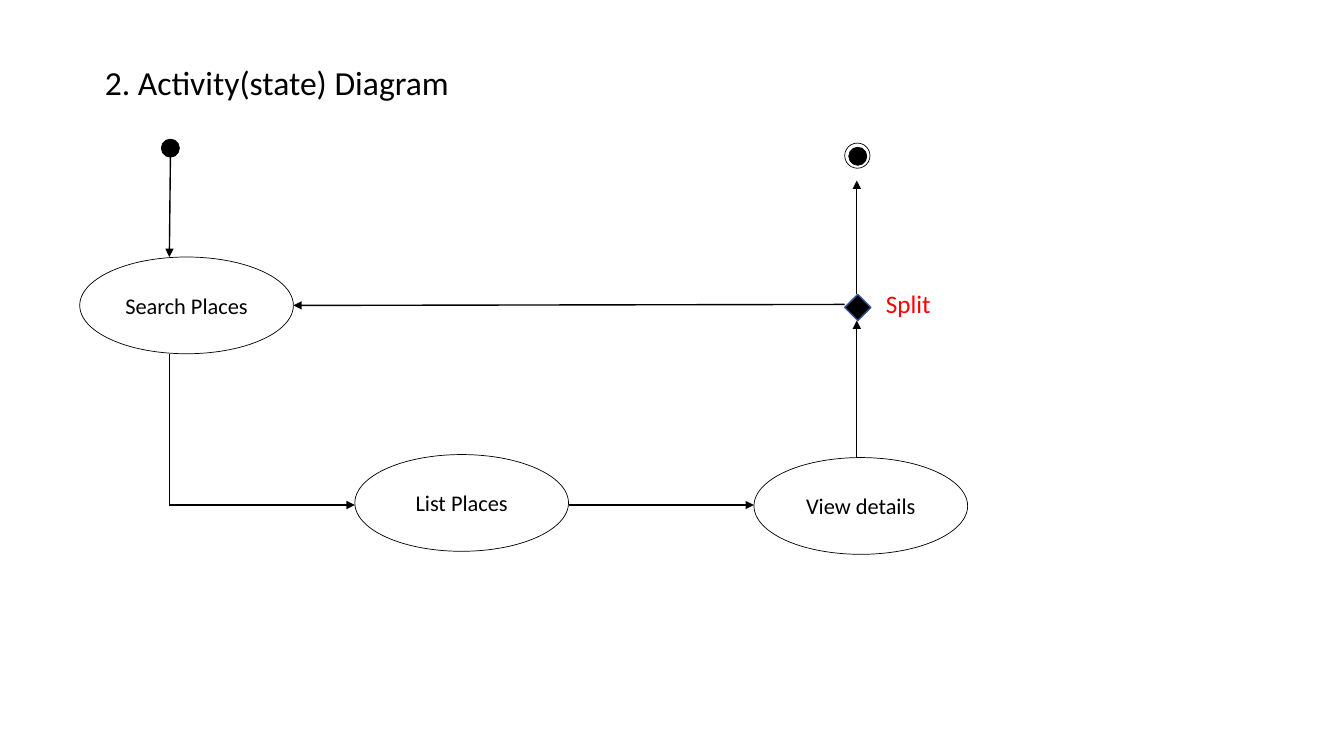
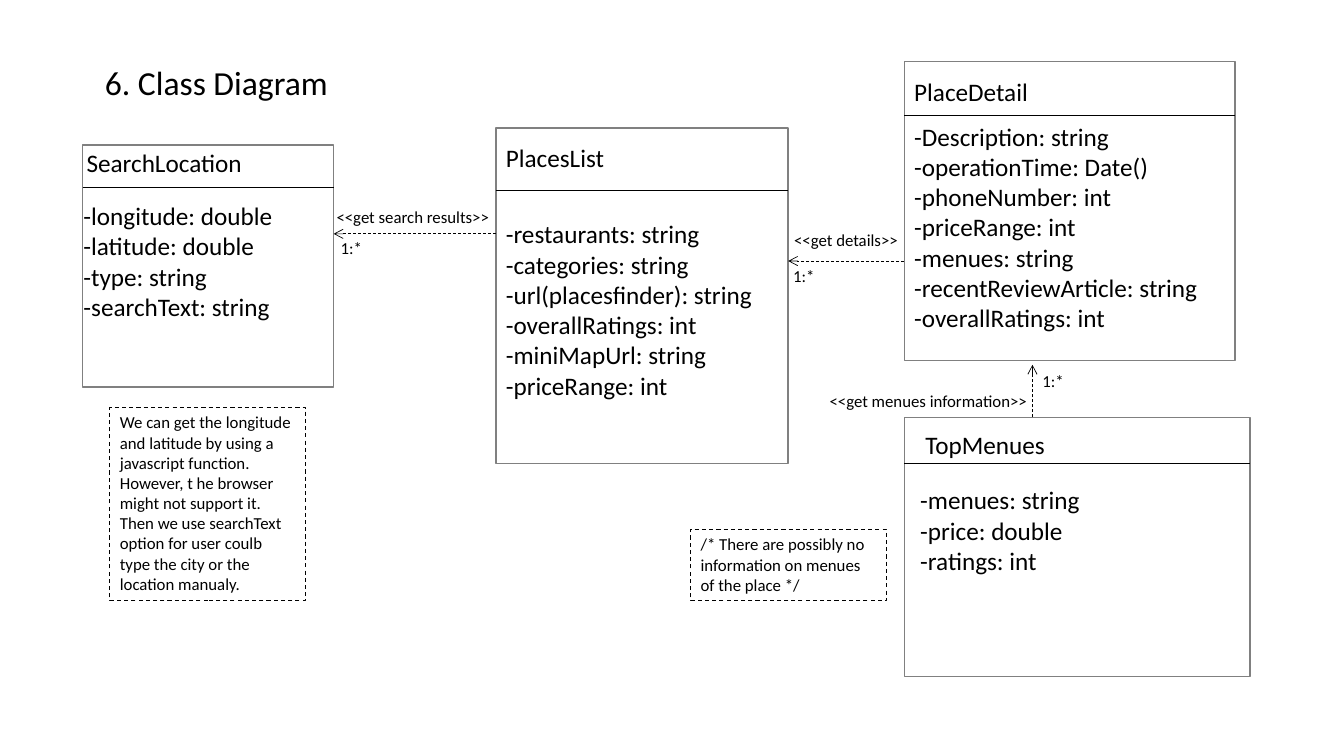
from collections import namedtuple
from pptx import Presentation
from pptx import util as u
from pptx.dml.color import RGBColor
from pptx.enum import dml, shapes, text
from pptx.oxml.ns import qn
from lxml import etree

BLACK = RGBColor(0, 0, 0)
GRAY = RGBColor(0x80, 0x80, 0x80)
RED = RGBColor(0xFF, 0, 0)
NAVY = RGBColor(0x32, 0x54, 0x91)
FONT = "Calibri"

prs = Presentation()
prs.slide_width, prs.slide_height = u.Inches(13.33), u.Inches(7.5)
COL, ROW = prs.slide_width / 100, prs.slide_height / 100
Box = namedtuple("Box", "x y w h")
SLIDE = Box(0, 0, 100, 100)


def col(n):
    return u.Emu(round(n * COL))


def row(n):
    return u.Emu(round(n * ROW))


def place(box):
    return col(box.x), row(box.y), col(box.w), row(box.h)


def inside(area, x, y, w, h):
    return Box(area.x + x * area.w / 100, area.y + y * area.h / 100,
               w * area.w / 100, h * area.h / 100)


def write(tf, lines, size, color=BLACK, align=text.PP_ALIGN.LEFT, wrap=False):
    tf.word_wrap = wrap
    tf.auto_size = text.MSO_AUTO_SIZE.NONE
    for i, line in enumerate(lines):
        p = tf.paragraphs[0] if i == 0 else tf.add_paragraph()
        p.alignment = align
        r = p.add_run()
        r.text = line
        r.font.name, r.font.size = FONT, u.Pt(size)
        r.font.color.rgb = color


def label(s, box, lines, size, color=BLACK):
    write(s.shapes.add_textbox(*place(box)).text_frame, lines, size, color)


def outline(s, kind, box, width, color=BLACK, fill=None, dashed=False):
    sp = s.shapes.add_shape(kind, *place(box))
    sp.shadow.inherit = False
    if fill is None:
        sp.fill.background()
    else:
        sp.fill.solid()
        sp.fill.fore_color.rgb = fill
    sp.line.color.rgb, sp.line.width = color, u.Pt(width)
    if dashed:
        sp.line.dash_style = dml.MSO_LINE.DASH
    return sp


def connect(s, start, end, width, tip=None, dashed=False):
    c = s.shapes.add_connector(shapes.MSO_CONNECTOR.STRAIGHT, col(start[0]), row(start[1]),
                               col(end[0]), row(end[1]))
    c.line.color.rgb, c.line.width = BLACK, u.Pt(width)
    if dashed:
        c.line.dash_style = dml.MSO_LINE.DASH
    if tip:
        etree.SubElement(c.line._get_or_add_ln(), qn("a:tailEnd"), type=tip)
    etree.SubElement(c._element.spPr, qn("a:effectLst"))


def titled_slide(title):
    s = prs.slides.add_slide(prs.slide_layouts[5])
    sp = s.shapes.title
    sp.left, sp.top, sp.width, sp.height = place(Box(7.05, 7.47, 27.3, 6.67))
    sp.text_frame.vertical_anchor = text.MSO_ANCHOR.TOP
    write(sp.text_frame, [title], 24)
    return s


def activity(s, box, name):
    tf = outline(s, shapes.MSO_SHAPE.OVAL, box, 0.5).text_frame
    tf.vertical_anchor = text.MSO_ANCHOR.MIDDLE
    write(tf, [name], 16, align=text.PP_ALIGN.CENTER)


def dot(s, area, x, y):
    outline(s, shapes.MSO_SHAPE.OVAL, inside(area, x, y, 1.35, 2.4), 0.5, fill=BLACK)


def activity_flow(s, area):
    search, listing, details = (inside(area, x, y, 15.9, 12.8)
                                for x, y in ((5.93, 34), (26.4, 60.13), (56.1, 60.53)))
    split = inside(area, 62.85, 38.93, 1.95, 3.47)
    down, up = area.x + 0.126 * area.w, area.x + 0.6375 * area.w
    middle = area.y + 0.668 * area.h
    for box, name in ((search, "Search Places"), (listing, "List Places"),
                      (details, "View details")):
        activity(s, box, name)
    dot(s, area, 12, 18.4)
    dot(s, area, 63.15, 19.47)
    outline(s, shapes.MSO_SHAPE.OVAL, inside(area, 62.85, 18.93, 1.88, 3.33), 0.5)
    connect(s, (down, search.y + search.h), (down, middle), 1)
    for start, end in (
        ((down + 0.08, search.y - 13.2), (down, search.y)),
        ((down, middle), (listing.x, middle)),
        ((listing.x + listing.w, middle), (details.x, middle)),
        ((up, details.y), (up, split.y + split.h)),
        ((up, split.y), (up, area.y + 0.2387 * area.h)),
        ((split.x, split.y + 1.34), (search.x + search.w, search.y + search.h / 2)),
    ):
        connect(s, start, end, 1, "triangle")
    outline(s, shapes.MSO_SHAPE.DIAMOND, split, 1, NAVY, BLACK)
    label(s, inside(area, 65.18, 37.47, 4.88, 5.33), ["Split"], 18, RED)


def class_box(s, box, header, name, name_at, fields, fields_at):
    outline(s, shapes.MSO_SHAPE.RECTANGLE, box, 1, GRAY)
    rule = box.y + header
    connect(s, (box.x, rule), (box.x + box.w, rule), 0.5)
    for lines, (dx, dy) in (([name], name_at), (fields, fields_at)):
        label(s, Box(box.x + dx, box.y + dy, box.w, 1.33 + 4 * len(lines)), lines, 18)


def note(s, box, words):
    sp = outline(s, shapes.MSO_SHAPE.RECTANGLE, box, 0.75, dashed=True)
    sp.text_frame.vertical_anchor = text.MSO_ANCHOR.TOP
    write(sp.text_frame, [words], 12, wrap=True)


def relation(s, start, end, name, name_at, count_at):
    connect(s, start, end, 0.5, "arrow", True)
    for words, (x, y), w in ((name, name_at, 16), ("1:*", count_at, 3.15)):
        label(s, Box(x, y, w, 4), [words], 12)


def class_model(s, area):
    search = inside(area, 6.15, 19.2, 18.68, 32)
    places = inside(area, 36.9, 16.93, 21.75, 44.4)
    detail = inside(area, 67.28, 8.13, 24.6, 39.6)
    menus = inside(area, 67.28, 55.2, 25.73, 34.27)
    class_box(s, search, 5.6, "SearchLocation", (-0.45, -0.4),
              ["-longitude: double", "-latitude: double", "-type: string",
               "-searchText: string"], (-0.68, 6.67))
    class_box(s, places, 8.27, "PlacesList", (0, 1.2),
              ["-restaurants: string", "-categories: string", "-url(placesfinder): string",
               "-overallRatings: int", "-miniMapUrl: string", "-priceRange: int"], (0, 11.33))
    class_box(s, detail, 7.07, "PlaceDetail", (0, 1.33),
              ["-Description: string", "-operationTime: Date()", "-phoneNumber: int",
               "-priceRange: int", "-menues: string", "-recentReviewArticle: string",
               "-overallRatings: int"], (0, 7.2))
    class_box(s, menus, 6.13, "TopMenues", (0.83, 0.93),
              ["-menues: string", "-price: double", "-ratings: int"], (0.45, 8.27))
    right, y = search.x + search.w, search.y + 11.73
    relation(s, (places.x, y), (right, y), "<<get search results>>",
             (right - 0.53, y - 4.27), (right - 0.23, y - 0.13))
    right, y = places.x + places.w, places.y + 17.6
    relation(s, (detail.x, y), (right, y), "<<get details>>",
             (right - 0.3, y - 4.8), (right - 0.37, y))
    x, y = menus.x + 9.54, detail.y + detail.h + 0.53
    relation(s, (x, menus.y), (x, y), "<<get menues information>>",
             (x - 15.83, y + 2.8), (x, y + 0.13))
    note(s, inside(area, 8.18, 53.87, 14.55, 25.6),
         "We can get the longitude and latitude by using a javascript function. "
         "However, t he browser might not support it. Then we use searchText option "
         "for user coulb type the city or the location manualy.")
    note(s, inside(area, 51.39, 70, 14.55, 9.47),
         "/* There are possibly no information on menues of the place */")


activity_flow(titled_slide("2. Activity(state) Diagram"), SLIDE)
class_model(titled_slide("6. Class Diagram"), SLIDE)
prs.save("out.pptx")
